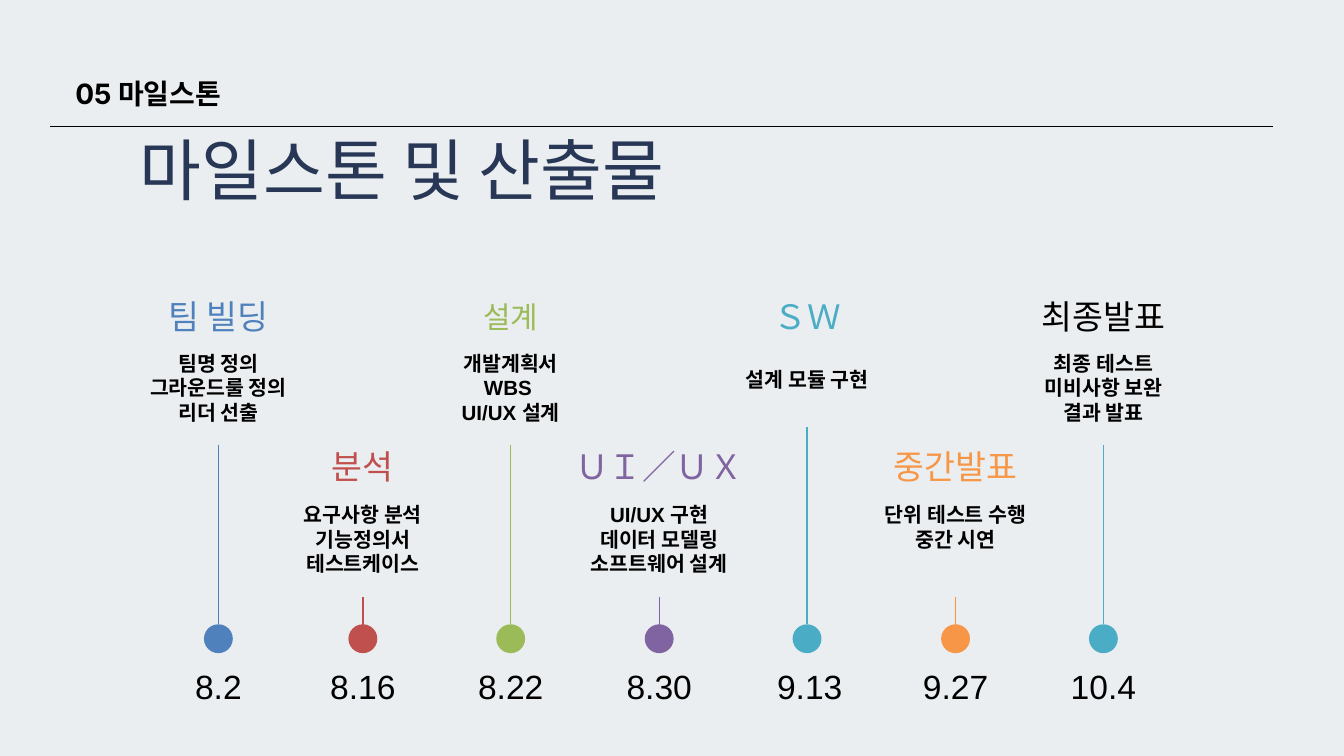
"""Build the milestone timeline slide."""
from pptx import Presentation
from pptx import util as u
from pptx.dml.color import RGBColor
from pptx.enum import shapes, text
from pptx.oxml.ns import qn
from lxml import etree

COLORS = {"background": "EBEEF0", "black": "000000", "navy": "273755",
          "blue": "4F81BD", "red": "C0504D", "green": "9BBB59",
          "purple": "8064A2", "teal": "4BACC6", "orange": "F79646"}
HEADINGS = [
    ("05 마일스톤", (112, 105, 512, 54), 42,
     {"size": u.Pt(30), "name": "Inter", "bold": True}, "black"),
    ("마일스톤 및 산출물", (208, 171, 967, 128), 100.8,
     {"size": u.Pt(72), "name": "Noto Sans CJK KR"}, "navy"),
]
MILESTONES = [
    {"date": "8.2", "name": "팀 빌딩", "color": "blue",
     "details": ["팀명 정의", "그라운드룰 정의", "리더 선출"]},
    {"date": "8.16", "name": "분석", "color": "red",
     "details": ["요구사항 분석", "기능정의서", "테스트케이스"]},
    {"date": "8.22", "name": "설계", "color": "green", "name_size": 32,
     "details": ["개발계획서", "WBS ", "UI/UX 설계"]},
    {"date": "8.30", "name": "ＵＩ／ＵＸ", "color": "purple",
     "details": ["UI/UX 구현", "데이터 모델링", "소프트웨어 설계"]},
    {"date": "9.13", "name": "ＳＷ", "color": "teal", "details": ["설계 모듈 구현"],
     "details_top": 527, "stem_top": 636, "date_shift": 4, "date_width": 180},
    {"date": "9.27", "name": "중간발표", "color": "orange",
     "details": ["단위 테스트 수행", "중간 시연"]},
    {"date": "10.4", "name": "최종발표", "color": "teal", "name_color": "black",
     "details": ["최종 테스트", "미비사항 보완", "결과 발표"]},
]
CENTERS = [325] + [round(540 + 220.4 * step) for step in range(6)]
UPPER = {"name_top": 438, "details_top": 502, "stem_top": 662}
LOWER = {"name_top": 661, "details_top": 727, "stem_top": 888}
LABEL_WIDTH, LABEL_HEIGHT, DETAILS_HEIGHT = 333, 65, 161
DOT_TOP, DOT_SIZE, DATE_TOP, DATE_WIDTH = 929, 43, 989, 155
EAST_ASIAN_FONT = "Noto Sans CJK KR"
SCALE = 9144


def px(value):
    return u.Emu(round(value * SCALE))


def rgb(name):
    return RGBColor.from_string(COLORS[name])


def set_all(target, values):
    for name, value in values.items():
        setattr(target, name, value)


def add_text(slide, box, lines, font, color, inset=20, frame_format=None,
             paragraph_format=None):
    frame = slide.shapes.add_textbox(*map(px, box)).text_frame
    margins = {f"margin_{side}": px(inset) for side in ("left", "top", "right", "bottom")}
    set_all(frame, {"word_wrap": True, **margins, **(frame_format or {})})
    for index, line in enumerate(lines):
        paragraph = frame.add_paragraph() if index else frame.paragraphs[0]
        set_all(paragraph, paragraph_format or {"alignment": text.PP_ALIGN.CENTER})
        run = paragraph.add_run()
        run.text = line
        set_all(run.font, font)
        run.font.color.rgb = rgb(color)
        east_asian = etree.SubElement(run._r.get_or_add_rPr(), qn("a:ea"))
        east_asian.set("typeface", EAST_ASIAN_FONT)


def add_line(slide, start, end, color, width):
    line = slide.shapes.add_connector(
        shapes.MSO_CONNECTOR.STRAIGHT, *map(px, (*start, *end)))
    line.line.color.rgb = rgb(color)
    line.line.width = u.Pt(width)
    etree.SubElement(line._element.spPr, qn("a:effectLst"))
    return line


def add_milestone(slide, center, milestone, is_upper):
    place = {**(UPPER if is_upper else LOWER), "name_size": 36, "date_shift": 0,
             "date_width": DATE_WIDTH, "name_color": milestone["color"], **milestone}
    stem_end = DOT_TOP if is_upper else DOT_TOP + 29
    stem = add_line(slide, (center, place["stem_top"]), (center, stem_end),
                    place["color"], 1.5)
    dot = slide.shapes.add_shape(
        shapes.MSO_SHAPE.OVAL,
        *map(px, (center - DOT_SIZE / 2, DOT_TOP, DOT_SIZE, DOT_SIZE)))
    dot.shadow.inherit = False
    dot.fill.solid()
    dot.fill.fore_color.rgb = rgb(place["color"])
    dot.line.fill.background()
    if is_upper:
        stem.end_connect(dot, 0)

    def label(middle, top, width, height, lines, size, color, anchor, bold=False):
        add_text(slide, (middle - width / 2, top, width, height), lines,
                 {"size": u.Pt(size), "name": "Arial", "bold": bold}, color,
                 frame_format={"vertical_anchor": anchor})

    anchors = text.MSO_ANCHOR
    label(center + place["date_shift"], DATE_TOP, place["date_width"], LABEL_HEIGHT,
          [place["date"]], 36, "black", anchors.MIDDLE)
    label(center, place["details_top"], LABEL_WIDTH, DETAILS_HEIGHT,
          place["details"], 22, "black", anchors.TOP, True)
    label(center, place["name_top"], LABEL_WIDTH, LABEL_HEIGHT,
          [place["name"]], place["name_size"], place["name_color"], anchors.MIDDLE)


def main():
    presentation = Presentation()
    set_all(presentation, {"slide_width": px(2000), "slide_height": px(1125)})
    slide = presentation.slides.add_slide(presentation.slide_layouts[6])
    slide.background.fill.solid()
    slide.background.fill.fore_color.rgb = rgb("background")
    add_line(slide, (75, 188), (1894, 188), "black", 0.75)
    for words, box, spacing, font, color in HEADINGS:
        add_text(slide, box, [words], font, color, 0,
                 {"auto_size": text.MSO_AUTO_SIZE.SHAPE_TO_FIT_TEXT},
                 {"line_spacing": u.Pt(spacing)})
    for index, (center, milestone) in enumerate(zip(CENTERS, MILESTONES)):
        add_milestone(slide, center, milestone, index % 2 == 0)
    presentation.save("out.pptx")


if __name__ == "__main__":
    main()
